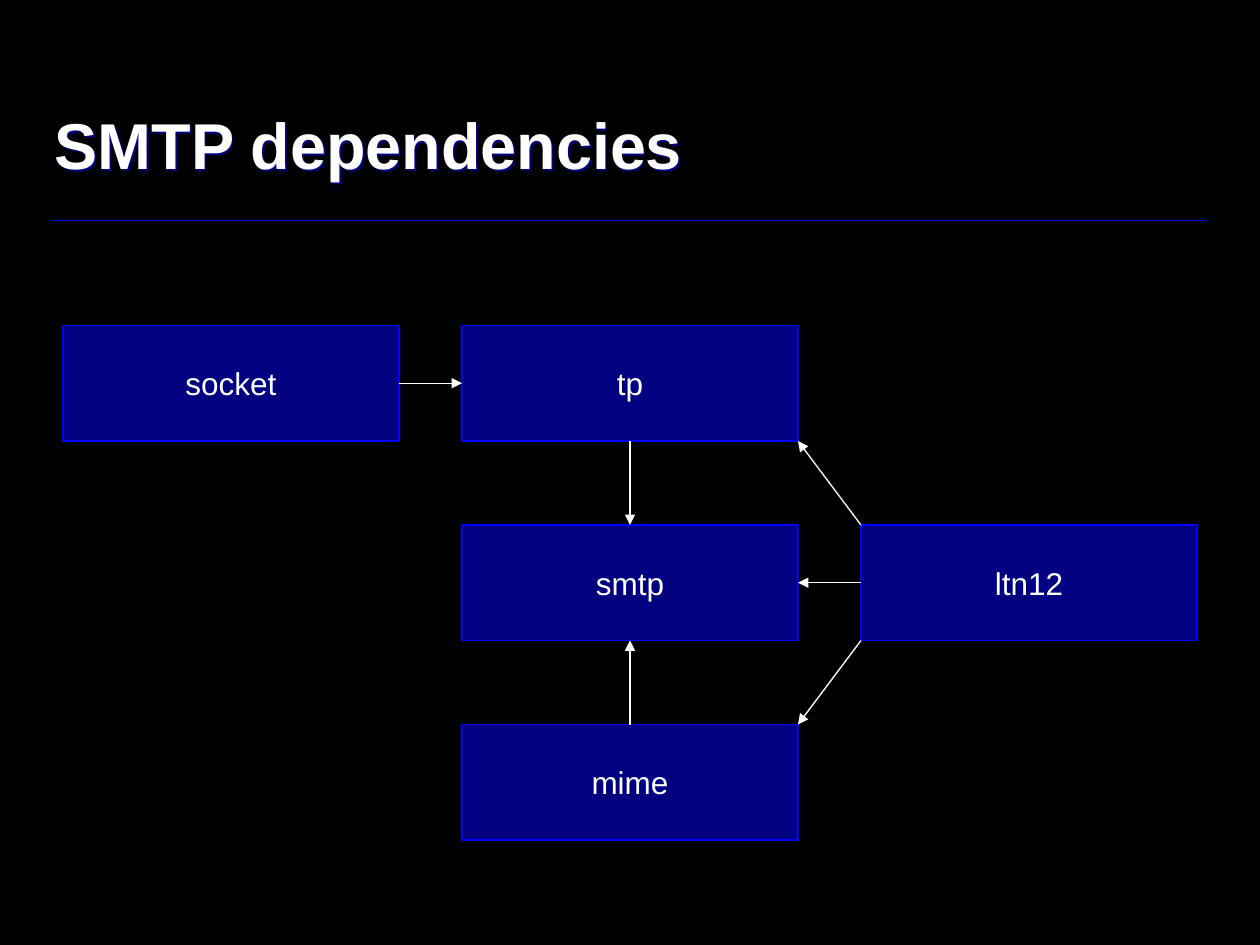
from lxml.etree import SubElement
from pptx import Presentation
from pptx.dml.color import RGBColor
from pptx.enum.shapes import MSO_CONNECTOR, MSO_SHAPE
from pptx.enum.text import MSO_ANCHOR, MSO_AUTO_SIZE, PP_ALIGN
from pptx.oxml.ns import qn
from pptx.util import Pt

BLACK = RGBColor(0, 0, 0)
WHITE = RGBColor(255, 255, 255)
BLUE = RGBColor(0, 0, 255)

WIDE, HIGH = 192, 66
STEP_X, STEP_Y = 228, 114
TOP, LEFT, BOTTOM, RIGHT = range(4)

# Name, column, row
NODES = [("socket", 0, 0), ("mime", 1, 2), ("smtp", 1, 1),
         ("tp", 1, 0), ("ltn12", 2, 1)]
# From, side, to, side
LINKS = [("socket", RIGHT, "tp", LEFT), ("tp", BOTTOM, "smtp", TOP),
         ("mime", TOP, "smtp", BOTTOM), ("ltn12", LEFT, "smtp", RIGHT)]


def add_run(para, text, size, bold=False):
    run = para.add_run()
    run.text = text
    font = run.font
    font.name, font.size, font.bold = "Arial", Pt(size), bold
    font.color.rgb = WHITE


def add_line(slide, start, end, color, width, arrow=False):
    line = slide.shapes.add_connector(
        MSO_CONNECTOR.STRAIGHT, *(Pt(n) for n in (*start, *end)))
    line.line.color.rgb = color
    line.line.width = Pt(width)
    if arrow:
        SubElement(line.line._get_or_add_ln(), qn("a:tailEnd"), type="triangle")
    SubElement(line._element.spPr, qn("a:effectLst"))
    return line


def add_title(slide, x, y, w, h):
    title = slide.shapes.title
    title.left, title.top, title.width, title.height = map(Pt, (x, y, w, h))
    title.fill.background()
    # Blue shadow behind the letters
    effect = SubElement(title._element.spPr, qn("a:effectLst"))
    shade = SubElement(effect, qn("a:outerShdw"), dist=str(Pt(1.5)), dir="2700000")
    tint = SubElement(shade, qn("a:srgbClr"), val=str(BLUE))
    SubElement(tint, qn("a:alpha"), val="50000")
    frame = title.text_frame
    frame.auto_size = MSO_AUTO_SIZE.NONE
    frame.vertical_anchor = MSO_ANCHOR.MIDDLE
    para = frame.paragraphs[0]
    para.alignment = PP_ALIGN.LEFT
    add_run(para, "SMTP dependencies", 37, True)


def add_node(slide, name, x, y):
    node = slide.shapes.add_shape(
        MSO_SHAPE.RECTANGLE, Pt(x), Pt(y), Pt(WIDE), Pt(HIGH))
    node.shadow.inherit = False
    node.fill.solid()
    node.fill.fore_color.rgb = BLUE
    tint = node._element.spPr.find(qn("a:solidFill"))[0]
    SubElement(tint, qn("a:alpha"), val="50000")
    node.line.color.rgb = BLUE
    node.line.width = Pt(0.75)
    frame = node.text_frame
    frame.word_wrap = False
    frame.vertical_anchor = MSO_ANCHOR.MIDDLE
    para = frame.paragraphs[0]
    para.alignment = PP_ALIGN.CENTER
    add_run(para, name, 18)
    return node


def add_graph(slide, x, y):
    # Modules on a grid
    nodes = {name: add_node(slide, name, x + col * STEP_X, y + row * STEP_Y)
             for name, col, row in NODES}

    # Arrows between side middles
    for tail, out, head, into in LINKS:
        line = add_line(slide, (0, 0), (0, 0), WHITE, 0.75, True)
        line.begin_connect(nodes[tail], out)
        line.end_connect(nodes[head], into)

    # Arrows from the corners of ltn12 to tp and mime
    start, end = x + 2 * STEP_X, x + STEP_X + WIDE
    upper, lower = y + STEP_Y, y + STEP_Y + HIGH
    add_line(slide, (start, upper), (end, y + HIGH), WHITE, 0.75, True)
    add_line(slide, (start, lower), (end, y + 2 * STEP_Y), WHITE, 0.75, True)


def main():
    deck = Presentation()
    deck.slide_width, deck.slide_height = Pt(720), Pt(540)
    slide = deck.slides.add_slide(deck.slide_layouts[5])
    slide.background.fill.solid()
    slide.background.fill.fore_color.rgb = BLACK

    # Heading and rule
    add_line(slide, (30, 126), (690, 126), BLUE, 1)
    add_title(slide, 24, 34, 528, 96)

    add_graph(slide, 36, 186)
    deck.save("out.pptx")


if __name__ == "__main__":
    main()
